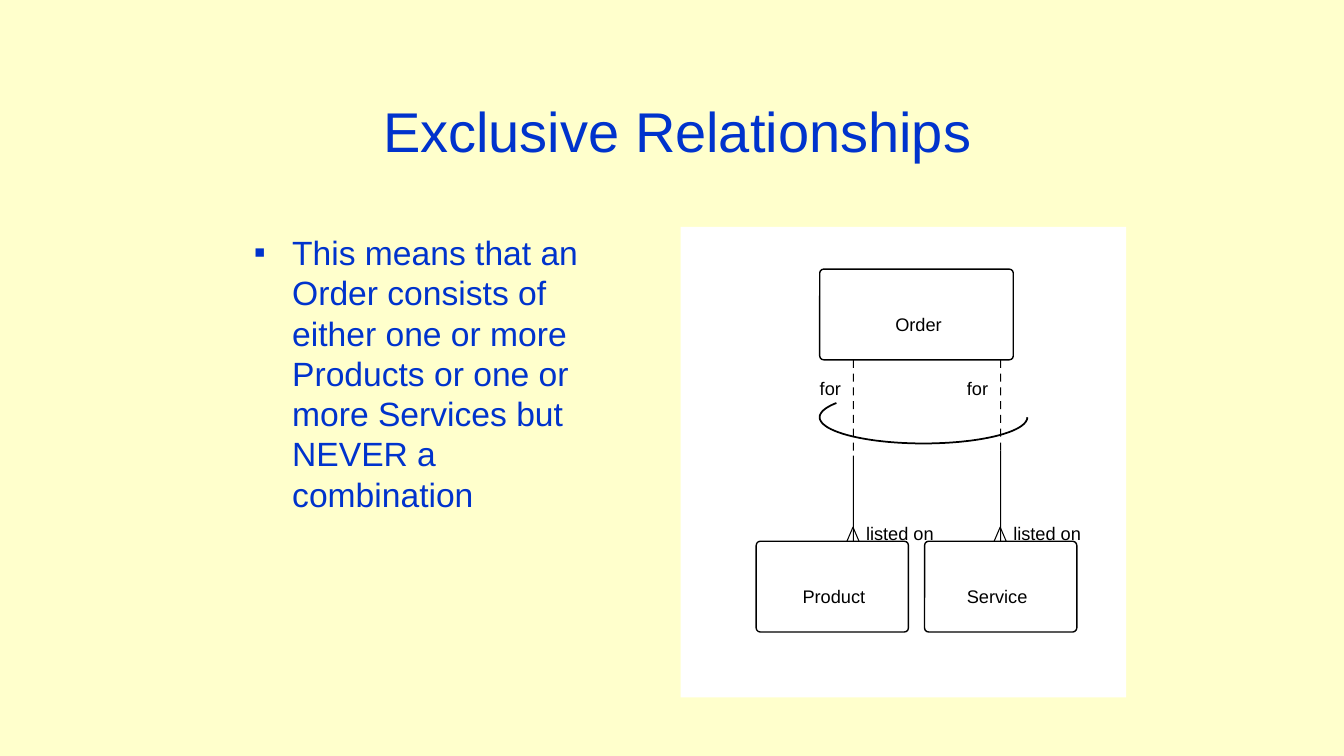
from math import cos, radians, sin

from lxml.etree import SubElement
from pptx import Presentation
from pptx.dml.color import RGBColor
from pptx.enum.shapes import MSO_SHAPE
from pptx.enum.text import MSO_ANCHOR, PP_ALIGN
from pptx.oxml.ns import qn
from pptx.util import Inches, Pt

CREAM = RGBColor(0xFF, 0xFF, 0xCC)
BLUE = RGBColor(0x00, 0x33, 0xCC)
WHITE = RGBColor(0xFF, 0xFF, 0xFF)
BLACK = RGBColor(0x00, 0x00, 0x00)
FONT = "Arial"

ORDER_BOTTOM = 3.57
DETAIL_TOP = 5.37
DASH_COUNT = 7
DASH_PITCH = 0.82 / (DASH_COUNT - 1)


def add_text(slide, text, left, top, width, height, size, color):
    """Add a one-run text box and return its frame and paragraph."""
    frame = slide.shapes.add_textbox(
        Inches(left), Inches(top), Inches(width), Inches(height)).text_frame
    frame.word_wrap = True
    paragraph = frame.paragraphs[0]
    run = paragraph.add_run()
    run.text = text
    run.font.name, run.font.size, run.font.color.rgb = FONT, Pt(size), color
    return frame, paragraph


def add_title(slide, text):
    """Add the centred slide title."""
    frame, paragraph = add_text(slide, text, 3.05, 0.67, 7.33, 1.25, 40, BLUE)
    frame.vertical_anchor = MSO_ANCHOR.MIDDLE
    paragraph.alignment = PP_ALIGN.CENTER


def add_bullet(slide, text):
    """Add the bulleted explanation with a hanging indent."""
    _, paragraph = add_text(slide, text, 2.42, 2.25, 3.86, 4.41, 24, BLUE)
    paragraph.space_before = Pt(4.8)
    properties = paragraph._p.get_or_add_pPr()
    properties.set("marL", str(Inches(0.38)))
    properties.set("indent", str(-Inches(0.38)))
    SubElement(properties, qn("a:buFont"), typeface=FONT)
    SubElement(properties, qn("a:buChar"), char="▪")


def add_label(slide, text, left, top, width):
    """Add a small diagram label without margins."""
    frame, _ = add_text(slide, text, left, top, width, 0.22, 13, BLACK)
    frame.word_wrap = False
    frame.margin_left = frame.margin_right = 0
    frame.margin_top = frame.margin_bottom = 0


def add_block(slide, left, top, width, height, color):
    """Add a plain filled rectangle."""
    block = slide.shapes.add_shape(
        MSO_SHAPE.RECTANGLE,
        Inches(left), Inches(top), Inches(width), Inches(height))
    block.shadow.inherit = False
    block.fill.solid()
    block.fill.fore_color.rgb = color
    block.line.fill.background()


def outline(shape, width):
    """Leave only a black outline on a shape."""
    shape.shadow.inherit = False
    shape.fill.background()
    shape.line.color.rgb, shape.line.width = BLACK, Pt(width)


def add_entity(slide, name, left, top, width, name_left, name_width):
    """Add an entity box with its name."""
    height = 0.9
    entity = slide.shapes.add_shape(
        MSO_SHAPE.ROUNDED_RECTANGLE,
        Inches(left), Inches(top), Inches(width), Inches(height))
    entity.adjustments[0] = 0.04 / height
    outline(entity, 1)
    add_label(slide, name, name_left, top + 0.44, name_width)


def add_open_path(slide, points, width):
    """Add an open black path through points given in inches."""
    start, *rest = [(Inches(x), Inches(y)) for x, y in points]
    builder = slide.shapes.build_freeform(*start)
    builder.add_line_segments(rest, close=False)
    outline(builder.convert_to_shape(), width)


def add_relationship(slide, x, solid_top):
    """Add a half-dashed relationship with a crow's foot and labels."""
    add_open_path(slide, [(x - 0.06, DETAIL_TOP), (x, 5.23),
                          (x + 0.06, DETAIL_TOP)], 0.75)
    for dash in range(DASH_COUNT):
        add_block(slide, x, ORDER_BOTTOM + dash * DASH_PITCH, 0.01, 0.08, BLACK)
    add_block(slide, x, solid_top, 0.01, DETAIL_TOP - solid_top, BLACK)
    add_label(slide, "listed on", x + 0.13, 5.18, 0.67)
    add_label(slide, "for", x - 0.33, 3.74, 0.21)


def add_exclusion_arc(slide):
    """Add the open arc that crosses both relationships."""
    add_open_path(slide, [(9.16 + 1.03 * cos(radians(angle)),
                           4.14 + 0.26 * sin(radians(angle)))
                          for angle in range(0, 216, 3)], 1.25)


def main():
    """Build and save the slide."""
    deck = Presentation()
    deck.slide_width, deck.slide_height = Inches(13.33), Inches(7.5)
    slide = deck.slides.add_slide(deck.slide_layouts[6])
    slide.background.fill.solid()
    slide.background.fill.fore_color.rgb = CREAM
    add_title(slide, "Exclusive Relationships")
    add_bullet(slide, "This means that an Order consists of either one or more "
                      "Products or one or more Services but NEVER a combination")
    add_block(slide, 6.75, 2.25, 4.42, 4.67, WHITE)
    add_entity(slide, "Order", 8.13, 2.67, 1.92, 8.88, 0.46)
    add_entity(slide, "Product", 7.5, DETAIL_TOP, 1.51, 7.96, 0.62)
    add_entity(slide, "Service", 9.17, DETAIL_TOP, 1.51, 9.59, 0.6)
    add_relationship(slide, 8.46, 4.52)
    add_relationship(slide, 9.92, 4.47)
    add_exclusion_arc(slide)
    deck.save("out.pptx")


if __name__ == "__main__":
    main()
